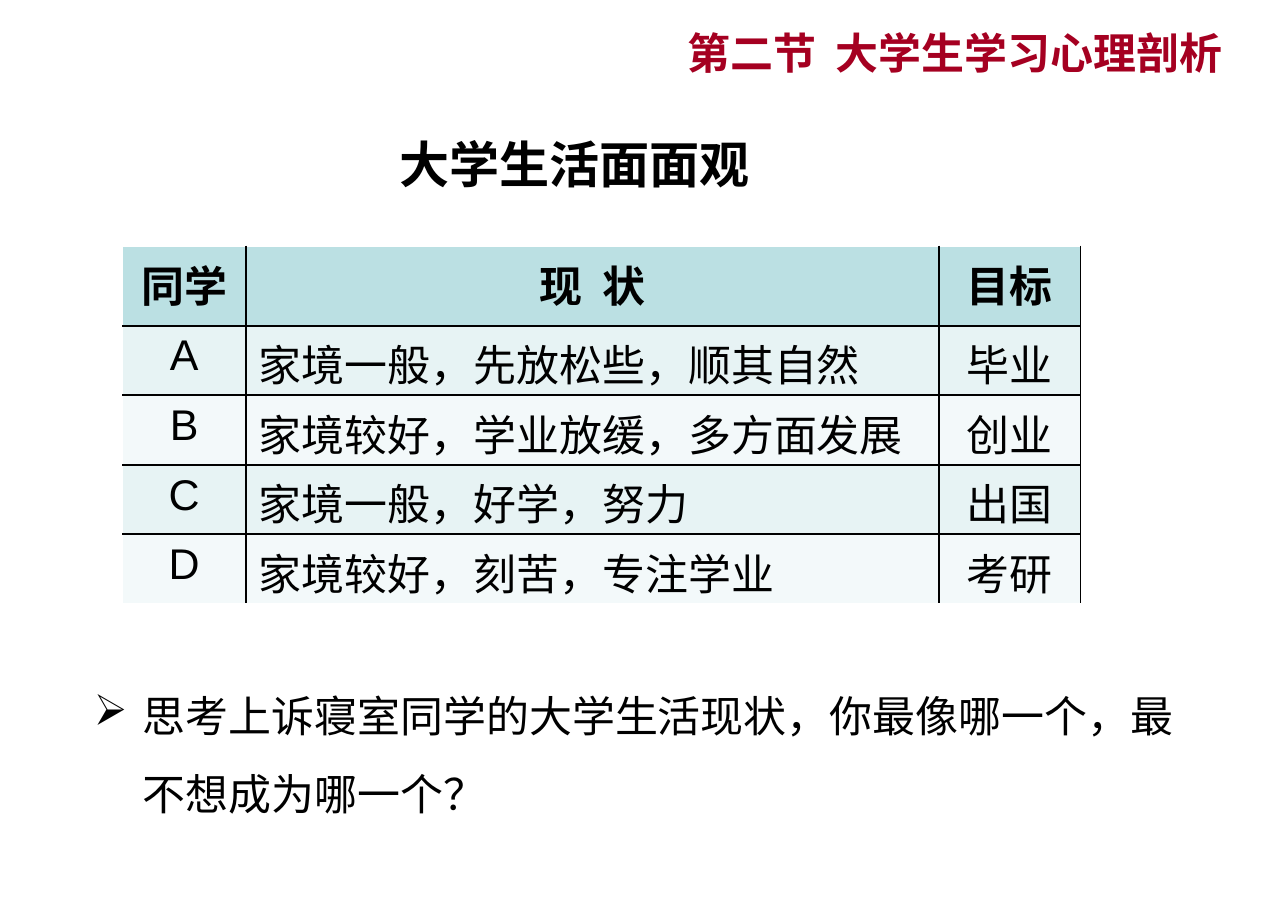
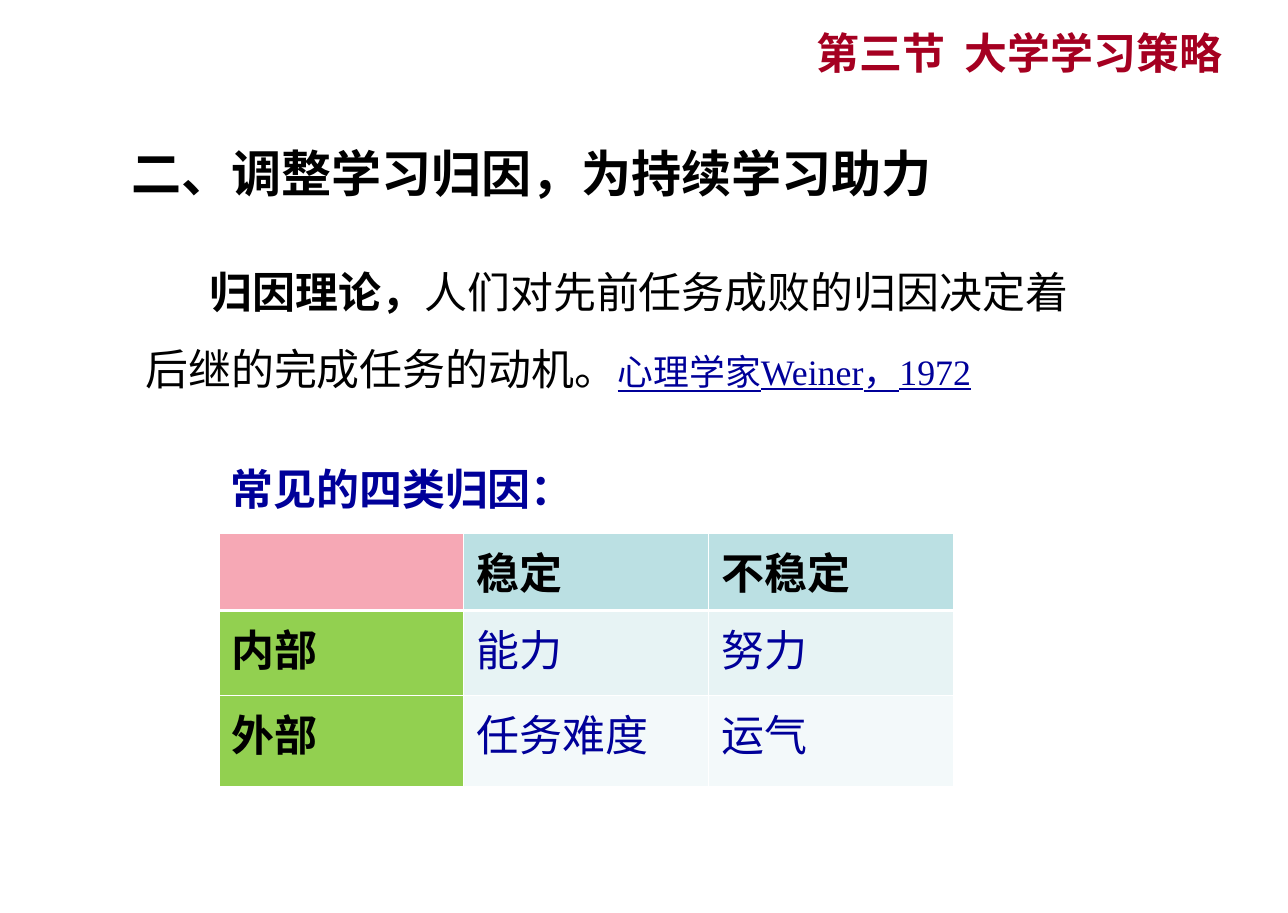
from dataclasses import dataclass, field
from typing import Optional

from lxml import etree
from pptx import Presentation
from pptx import util as u
from pptx.dml import color as dml
from pptx.enum import text as txt
from pptx.oxml import ns


@dataclass(frozen=True)
class Theme:
    red: str = "A50021"
    black: str = "000000"
    white: str = "FFFFFF"
    blue: str = "000099"
    teal: str = "BBE0E3"
    pink: str = "F6A8B5"
    green: str = "92D050"
    bands: tuple[str, str] = ("E7F3F4", "F3F9FA")
    sans: str = "Arial"
    serif: str = "Times New Roman"
    chinese: str = "Noto Sans CJK SC"
    japanese: str = "Noto Sans CJK JP"
    heading_size: float = 28
    text_size: float = 24
    note_size: float = 20


THEME = Theme()
LEFT, CENTER, RIGHT = txt.PP_ALIGN.LEFT, txt.PP_ALIGN.CENTER, txt.PP_ALIGN.RIGHT


@dataclass(frozen=True)
class Area:
    left: float
    top: float
    width: float
    height: float

    def lengths(self) -> list[u.Length]:
        return [u.Inches(n) for n in (self.left, self.top, self.width, self.height)]


@dataclass(frozen=True)
class Rule:
    color: str
    width: float


HAIRLINE = Rule(THEME.white, 0.45)
HEADER_RULE = Rule(THEME.white, 1.47)
GRID_LINE = Rule(THEME.black, 1.08)


@dataclass(frozen=True)
class Grid:
    area: Area
    columns: list[float]
    heights: list[float]
    rows: list[list[str]]
    alignments: list[txt.PP_ALIGN]
    inner: Rule
    below_header: Rule
    right_edge: Rule
    body_color: str = THEME.black
    header_column: bool = False
    bottom_margin: float = 0.05


@dataclass(frozen=True)
class Span:
    text: str
    style: dict = field(default_factory=dict)


SECTION_AREA = Area(2.94, 0.14, 6.65, 0.53)

CLASSMATES = Grid(
    area=Area(0.95, 1.91, 7.44, 2.78),
    columns=[0.96, 5.38, 1.1],
    heights=[0.62] + [0.54] * 4,
    rows=[
        ["同学", "现  状", "目标"],
        ["A", "家境一般，先放松些，顺其自然", "毕业"],
        ["B", "家境较好，学业放缓，多方面发展", "创业"],
        ["C", "家境一般，好学，努力", "出国"],
        ["D", "家境较好，刻苦，专注学业", "考研"],
    ],
    alignments=[CENTER, LEFT, CENTER],
    inner=GRID_LINE,
    below_header=GRID_LINE,
    right_edge=GRID_LINE,
    bottom_margin=0,
)

ATTRIBUTIONS = Grid(
    area=Area(1.7, 4.14, 5.7, 1.97),
    columns=[1.9] * 3,
    heights=[0.6, 0.66, 0.71],
    rows=[
        ["", "稳定", "不稳定"],
        ["内部", "能力", "努力"],
        ["外部", "任务难度", "运气"],
    ],
    alignments=[LEFT] * 3,
    inner=HAIRLINE,
    below_header=HEADER_RULE,
    right_edge=HAIRLINE,
    body_color=THEME.blue,
    header_column=True,
)


def add_span(para, text: str, *, size: float = THEME.text_size, color: str = THEME.black,
             bold: bool = False, underline: bool = False,
             font: str = THEME.chinese, east_asian: str = THEME.chinese) -> None:
    span = para.add_run()
    span.text = text
    span.font.size = u.Pt(size)
    span.font.bold = bold
    if underline:
        span.font.underline = True
    span.font.color.rgb = dml.RGBColor.from_string(color)
    span.font.name = font
    latin = span.font._element.find(ns.qn("a:latin"))
    typeface = etree.Element(ns.qn("a:ea"), typeface=east_asian)
    latin.addnext(typeface)


def add_text(slide, area: Area, spans: list[Span], *, line_spacing: Optional[float] = None,
             indent: float = 0, bullet: str = ""):
    """Add a one-paragraph text box; with a bullet, the indent hangs."""
    box = slide.shapes.add_textbox(*area.lengths())
    box.text_frame.word_wrap = True
    box.text_frame.auto_size = txt.MSO_AUTO_SIZE.SHAPE_TO_FIT_TEXT
    para = box.text_frame.paragraphs[0]
    properties = para._p.get_or_add_pPr()
    if bullet:
        properties.set("marL", str(u.Inches(indent)))
        properties.set("indent", str(-u.Inches(indent)))
        bullet_color = etree.SubElement(properties, ns.qn("a:buClr"))
        etree.SubElement(bullet_color, ns.qn("a:srgbClr"), val=THEME.black)
        etree.SubElement(properties, ns.qn("a:buChar"), char=bullet)
    elif indent:
        properties.set("indent", str(u.Inches(indent)))
    if line_spacing:
        para.line_spacing = line_spacing
    for span in spans:
        add_span(para, span.text, **span.style)


def add_heading(slide, area: Area, text: str) -> None:
    style = {"size": THEME.heading_size, "bold": True, "font": THEME.sans}
    add_text(slide, area, [Span(text, style)])


def add_section_slide(deck, section: str):
    slide = deck.slides.add_slide(deck.slide_layouts[5])
    title = slide.shapes.title
    title.left, title.top, title.width, title.height = SECTION_AREA.lengths()
    frame = title.text_frame
    frame.word_wrap = True
    frame.auto_size = txt.MSO_AUTO_SIZE.NONE
    frame.vertical_anchor = txt.MSO_ANCHOR.MIDDLE
    para = frame.paragraphs[0]
    para.alignment = RIGHT
    add_span(para, section, color=THEME.red, bold=True)
    return slide


def set_border(cell, side: str, rule: Rule) -> None:
    line = etree.SubElement(cell._tc.get_or_add_tcPr(), ns.qn(f"a:ln{side}"),
                            w=str(u.Pt(rule.width)))
    fill = etree.SubElement(line, ns.qn("a:solidFill"))
    etree.SubElement(fill, ns.qn("a:srgbClr"), val=rule.color)


def cell_fill(grid: Grid, row: int, column: int) -> str:
    if grid.header_column and column == 0:
        return THEME.green if row else THEME.pink
    return THEME.bands[(row - 1) % 2] if row else THEME.teal


def cell_borders(grid: Grid, row: int, column: int) -> dict[str, Rule]:
    """Give the rules of one cell in the order that the file format asks for."""
    last_row, last_column = len(grid.rows) - 1, len(grid.columns) - 1
    above = {0: HAIRLINE, 1: grid.below_header}
    below = {0: grid.below_header, last_row: HAIRLINE}
    return {
        "L": grid.inner if column else HAIRLINE,
        "R": grid.right_edge if column == last_column else grid.inner,
        "T": above.get(row, grid.inner),
        "B": below.get(row, grid.inner),
    }


def add_grid(slide, grid: Grid) -> None:
    table = slide.shapes.add_table(len(grid.rows), len(grid.columns),
                                   *grid.area.lengths()).table
    table.first_row = table.horz_banding = False
    for column, width in zip(table.columns, grid.columns):
        column.width = u.Inches(width)
    for row, height in zip(table.rows, grid.heights):
        row.height = u.Inches(height)
    for r, texts in enumerate(grid.rows):
        for c, text in enumerate(texts):
            cell = table.cell(r, c)
            cell.margin_bottom = u.Inches(grid.bottom_margin)
            for side, rule in cell_borders(grid, r, c).items():
                set_border(cell, side, rule)
            cell.fill.solid()
            cell.fill.fore_color.rgb = dml.RGBColor.from_string(cell_fill(grid, r, c))
            para = cell.text_frame.paragraphs[0]
            para.alignment = grid.alignments[c] if r else grid.alignments[0]
            is_header = r == 0 or (grid.header_column and c == 0)
            if text:
                add_span(para, text, bold=is_header, font=THEME.sans,
                         color=THEME.black if is_header else grid.body_color)


def build_campus_life(deck) -> None:
    slide = add_section_slide(deck, "第二节  大学生学习心理剖析")
    question = "思考上诉寝室同学的大学生活现状，你最像哪一个，最不想成为哪一个？"
    add_text(slide, Area(0.63, 5.11, 8.75, 1.3), [Span(question)],
             line_spacing=1.5, indent=0.38, bullet="➢")
    add_grid(slide, CLASSMATES)
    add_heading(slide, Area(3, 0.99, 3.08, 0.57), "大学生活面面观")


def build_attribution(deck) -> None:
    slide = add_section_slide(deck, "第三节  大学学习策略")
    serif = {"font": THEME.serif}
    theory = [
        Span("归因理论，", serif | {"bold": True}),
        Span("人们对先前任务成败的归因决定着后继的完成任务的动机。", serif),
        Span("心理学家Weiner，1972",
             serif | {"size": THEME.note_size, "color": THEME.blue, "underline": True}),
    ]
    add_text(slide, Area(1.03, 1.81, 7.53, 1.35), theory, line_spacing=1.5, indent=0.5)
    caption = {"color": THEME.blue, "bold": True,
               "font": THEME.japanese, "east_asian": THEME.japanese}
    add_text(slide, Area(1.69, 3.54, 5.95, 0.5), [Span("常见的四类归因：", caption)])
    add_grid(slide, ATTRIBUTIONS)
    add_heading(slide, Area(0.92, 1.06, 8.08, 0.57), "二、调整学习归因，为持续学习助力")


def main() -> None:
    deck = Presentation()
    deck.slide_width, deck.slide_height = u.Inches(10), u.Inches(7.09)
    build_campus_life(deck)
    build_attribution(deck)
    deck.save("out.pptx")


if __name__ == "__main__":
    main()
